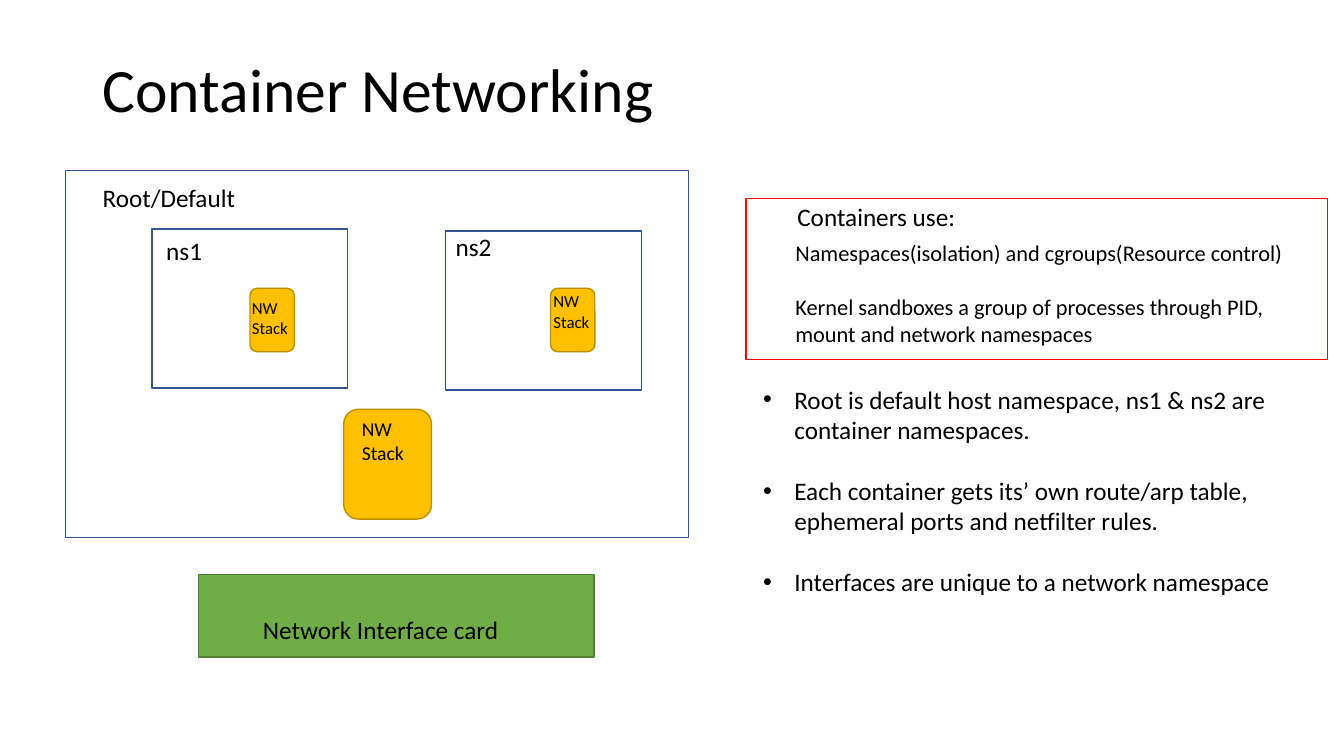
from lxml import etree
from pptx import Presentation
from pptx.dml.color import RGBColor
from pptx.enum.shapes import MSO_SHAPE
from pptx.enum.text import MSO_ANCHOR
from pptx.oxml.ns import qn
from pptx.util import Inches, Pt

RECT, ROUNDED = MSO_SHAPE.RECTANGLE, MSO_SHAPE.ROUNDED_RECTANGLE
TOP, MIDDLE = MSO_ANCHOR.TOP, MSO_ANCHOR.MIDDLE
FONT = "Calibri"
BULLET_INDENT = 0.31

# Colours: fill, line
NAMESPACE = ("FFFFFF", "325491")
CARD = ("70AD47", "538035")
STACK = ("FFC000", "BD8E00")
CALLOUT = ("FFFFFF", "FF0000")

# Preset, (left, top, width, height), colours; back to front
SHAPES = [
    (RECT, (0.65, 1.69, 6.18, 3.64), NAMESPACE),
    (RECT, (1.51, 2.27, 1.94, 1.58), NAMESPACE),
    (RECT, (4.42, 2.29, 1.94, 1.58), NAMESPACE),
    (RECT, (1.97, 5.7, 3.92, 0.82), CARD),
    (ROUNDED, (3.41, 4.06, 0.87, 1.09), STACK),
    (ROUNDED, (2.48, 2.86, 0.44, 0.63), STACK),
    (ROUNDED, (5.46, 2.86, 0.44, 0.63), STACK),
    (RECT, (7.4, 1.97, 5.77, 1.6), CALLOUT),
]

# (left, top, width, height), size, paragraphs
LABELS = [
    ((1.55, 2.29, 1.18, 0.4), 18, ["ns1"]),
    ((4.42, 2.25, 1.18, 0.4), 18, ["ns2"]),
    ((0.92, 1.76, 1.56, 0.4), 18, ["Root/Default"]),
    ((2.51, 6.05, 2.76, 0.4), 18, ["Network Interface card"]),
    ((3.49, 4.09, 0.72, 0.57), 14, ["NW Stack"]),
    ((2.4, 2.9, 0.69, 0.5), 12, ["NW", "Stack"]),
    ((5.39, 2.84, 0.69, 0.5), 12, ["NW", "Stack"]),
    ((7.81, 1.95, 2.44, 0.4), 18, ["Containers use:"]),
]
TITLE = "Container Networking"
CONTAINER_USES = [
    "Namespaces(isolation) and cgroups(Resource control)",
    "Kernel sandboxes a group of processes through PID, mount and network namespaces",
]
NAMESPACE_FACTS = [
    "Root is default host namespace, ns1 & ns2 are container namespaces.",
    "Each container gets its’ own route/arp table, ephemeral ports and netfilter rules.",
    "Interfaces are unique to a network namespace",
]


def rgb(hex_colour):
    return RGBColor.from_string(hex_colour)


def add_box(slide, preset, place, colours):
    box = slide.shapes.add_shape(preset, *map(Inches, place))
    fill, line = colours
    box.shadow.inherit = False
    box.fill.solid()
    box.fill.fore_color.rgb = rgb(fill)
    box.line.color.rgb = rgb(line)
    box.line.width = Pt(1)


def add_bullet(paragraph):
    properties = paragraph._p.get_or_add_pPr()
    properties.set("marL", str(Inches(BULLET_INDENT)))
    properties.set("indent", str(-Inches(BULLET_INDENT)))
    etree.SubElement(properties, qn("a:buFont"), typeface="Arial")
    etree.SubElement(properties, qn("a:buChar"), char="•")


def add_text(slide, place, size, lines, gap=0, bulleted=False, anchor=TOP, spacing=None):
    """Add a text box; gap is the space in points between paragraphs."""
    frame = slide.shapes.add_textbox(*map(Inches, place)).text_frame
    frame.word_wrap = True
    frame.vertical_anchor = anchor
    for index, line in enumerate(lines):
        paragraph = frame.add_paragraph() if index else frame.paragraphs[0]
        paragraph.text = line
        if bulleted:
            add_bullet(paragraph)
        if index and gap:
            paragraph.space_before = Pt(gap)
        if spacing:
            paragraph.line_spacing = spacing
        paragraph.font.name = FONT
        paragraph.font.size = Pt(size)
        paragraph.font.color.rgb = rgb("000000")


def main():
    deck = Presentation()
    deck.slide_width, deck.slide_height = Inches(13.33), Inches(7.5)
    slide = deck.slides.add_slide(deck.slide_layouts[6])

    add_text(slide, (0.92, 0.36, 11.5, 1.11), 44, [TITLE], anchor=MIDDLE, spacing=0.9)
    for preset, place, colours in SHAPES:
        add_box(slide, preset, place, colours)
    for place, size, lines in LABELS:
        add_text(slide, place, size, lines)
    add_text(slide, (7.79, 2.32, 5.32, 1.18), 16, CONTAINER_USES, gap=19.5)
    add_text(slide, (7.47, 3.76, 5.32, 2.2), 18, NAMESPACE_FACTS, gap=22, bulleted=True)

    deck.save("out.pptx")


if __name__ == "__main__":
    main()
